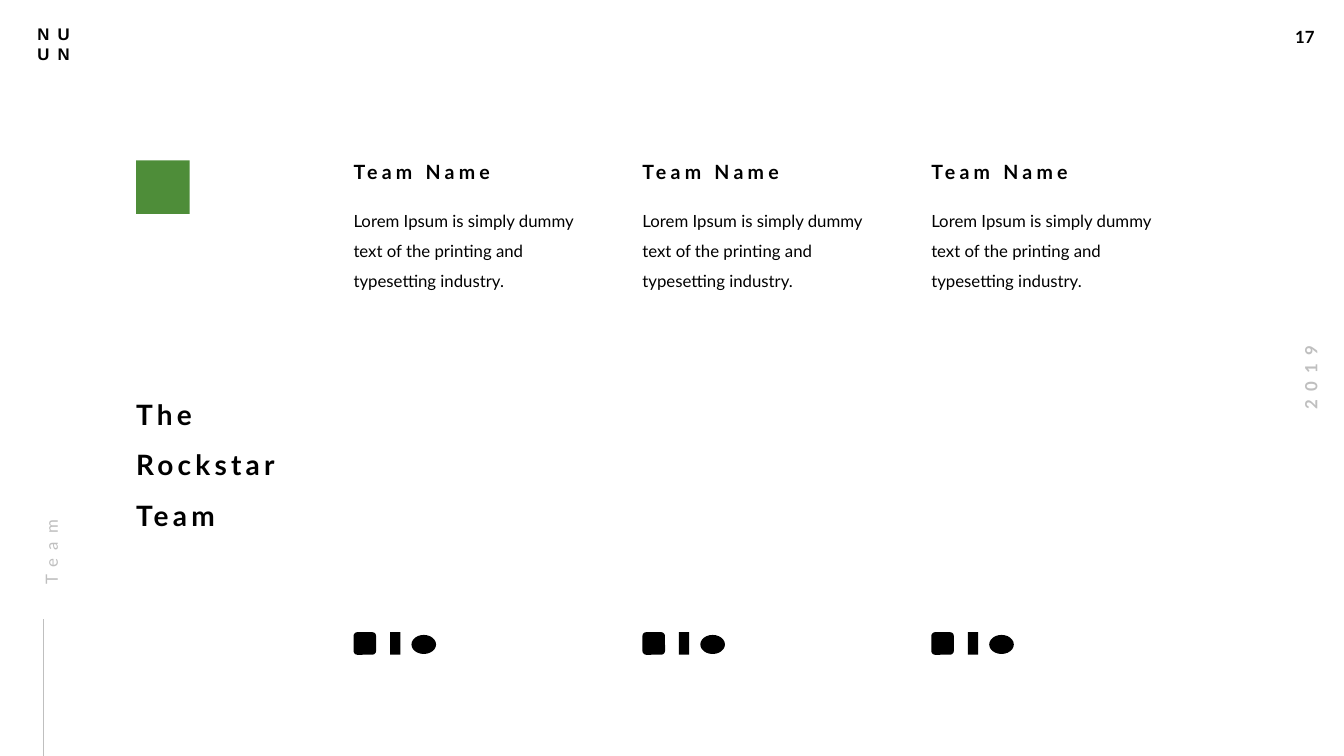
from dataclasses import dataclass

from pptx import Presentation
from pptx.dml.color import RGBColor
from pptx.enum.shapes import MSO_CONNECTOR, MSO_SHAPE
from pptx.enum.text import MSO_ANCHOR, MSO_AUTO_SIZE as AutoSize, PP_ALIGN
from pptx.oxml.ns import qn
from pptx.util import Cm, Pt


@dataclass(frozen=True)
class TextStyle:
    size: int
    color: str
    bold: bool = False
    tracking: int = 0
    font: str = "Lato"
    space_before: int = 0
    line_spacing: float = 1.0


@dataclass(frozen=True)
class Theme:
    ink: str = "000000"
    muted: str = "BFBFBF"
    accent: str = "4E8D39"
    rule_width: float = 0.5
    page_number: TextStyle = TextStyle(12, ink, bold=True)
    year: TextStyle = TextStyle(12, muted, bold=True, tracking=6)
    wordmark: TextStyle = TextStyle(12, ink, bold=True, tracking=6, font="Arial")
    heading: TextStyle = TextStyle(20, ink, bold=True, tracking=3, space_before=12)
    member: TextStyle = TextStyle(14, ink, bold=True, tracking=3, space_before=12)
    body: TextStyle = TextStyle(12, ink, space_before=12, line_spacing=1.5)
    section: TextStyle = TextStyle(12, muted, tracking=6, line_spacing=1.5)


THEME = Theme()
BIO = "Lorem Ipsum is simply dummy text of the printing and typesetting industry."
MEMBERS = [("Team Name", BIO)] * 3
FIRST_COLUMN = 8.91
COLUMN_PITCH = 7.28

# Plain markers for the social links: preset, offset in column, top, width, height
SOCIAL_MARKERS = [
    (MSO_SHAPE.ROUNDED_RECTANGLE, 0, 15.93, 0.57, 0.57),
    (MSO_SHAPE.RECTANGLE, 0.92, 15.93, 0.26, 0.57),
    (MSO_SHAPE.OVAL, 1.46, 16, 0.62, 0.48),
]


def place(shape, left, top, width, height):
    shape.left, shape.top = Cm(left), Cm(top)
    shape.width, shape.height = Cm(width), Cm(height)


def write(frame, text, style, align=PP_ALIGN.LEFT):
    frame.text = text
    for paragraph in frame.paragraphs:
        paragraph.alignment = align
        paragraph.space_before = Pt(style.space_before)
        paragraph.line_spacing = style.line_spacing
        for run in paragraph.runs:
            run.font.name = style.font
            run.font.size = Pt(style.size)
            run.font.bold = style.bold
            run.font.color.rgb = RGBColor.from_string(style.color)
            if style.tracking:
                run.font._element.set("spc", str(style.tracking * 100))


def trim_insets(frame):
    frame.margin_left = frame.margin_top = frame.margin_bottom = 0


def add_label(slide, text, style, box, trimmed=True, wrap=True, rotation=0,
              align=PP_ALIGN.LEFT):
    label = slide.shapes.add_textbox(*map(Cm, box))
    label.rotation = rotation
    frame = label.text_frame
    frame.word_wrap = wrap
    frame.auto_size = AutoSize.SHAPE_TO_FIT_TEXT
    if trimmed:
        trim_insets(frame)
    write(frame, text, style, align)


def add_block(slide, preset, color, box):
    block = slide.shapes.add_shape(preset, *map(Cm, box))
    block.shadow.inherit = False
    block.fill.solid()
    block.fill.fore_color.rgb = RGBColor.from_string(color)
    block.line.fill.background()


def add_rule(slide, x, start_y, end_y):
    rule = slide.shapes.add_connector(
        MSO_CONNECTOR.STRAIGHT, Cm(x), Cm(start_y), Cm(x), Cm(end_y))
    rule.line.color.rgb = RGBColor.from_string(THEME.muted)
    rule.line.width = Pt(THEME.rule_width)
    properties = rule._element.spPr
    properties.append(properties.makeelement(qn("a:effectLst"), {}))


def set_heading(slide, text):
    heading = slide.shapes.title
    place(heading, 3.43, 10.01, 4.83, 3.43)
    frame = heading.text_frame
    frame.word_wrap = True
    frame.auto_size = AutoSize.NONE
    frame.vertical_anchor = MSO_ANCHOR.TOP
    trim_insets(frame)
    write(frame, text, THEME.heading)


def add_member(slide, left, name, bio):
    add_label(slide, name, THEME.member, (left, 4.04, 5.36, 0.61))
    add_label(slide, bio, THEME.body, (left, 5.05, 5.97, 2.21))
    for preset, offset, top, width, height in SOCIAL_MARKERS:
        add_block(slide, preset, THEME.ink, (left + offset, top, width, height))


def add_page_frame(slide):
    """Add the wordmark, page number, year and section label at the edges."""
    add_label(slide, "17", THEME.page_number, (32.39, 0.56, 1.04, 0.76),
              trimmed=False, wrap=False)
    add_label(slide, "2019", THEME.year, (31.85, 9.14, 2.36, 0.76),
              trimmed=False, rotation=270, align=PP_ALIGN.CENTER)
    add_label(slide, "NU\nUN", THEME.wordmark, (0.69, 0.48, 1.5, 1.27),
              trimmed=False)
    add_rule(slide, 1.09, 19.05, 15.6)
    add_label(slide, "Team", THEME.section, (-1.24, 12.04, 4.7, 0.66),
              rotation=270)


def main():
    deck = Presentation()
    deck.slide_width, deck.slide_height = Cm(33.87), Cm(19.05)
    slide = deck.slides.add_slide(deck.slide_layouts.get_by_name("Title Only"))

    add_page_frame(slide)
    set_heading(slide, "The\nRockstar\nTeam")
    for column, (name, bio) in enumerate(MEMBERS):
        add_member(slide, FIRST_COLUMN + column * COLUMN_PITCH, name, bio)
    add_block(slide, MSO_SHAPE.RECTANGLE, THEME.accent, (3.43, 4.04, 1.35, 1.35))

    deck.save("out.pptx")


if __name__ == "__main__":
    main()
